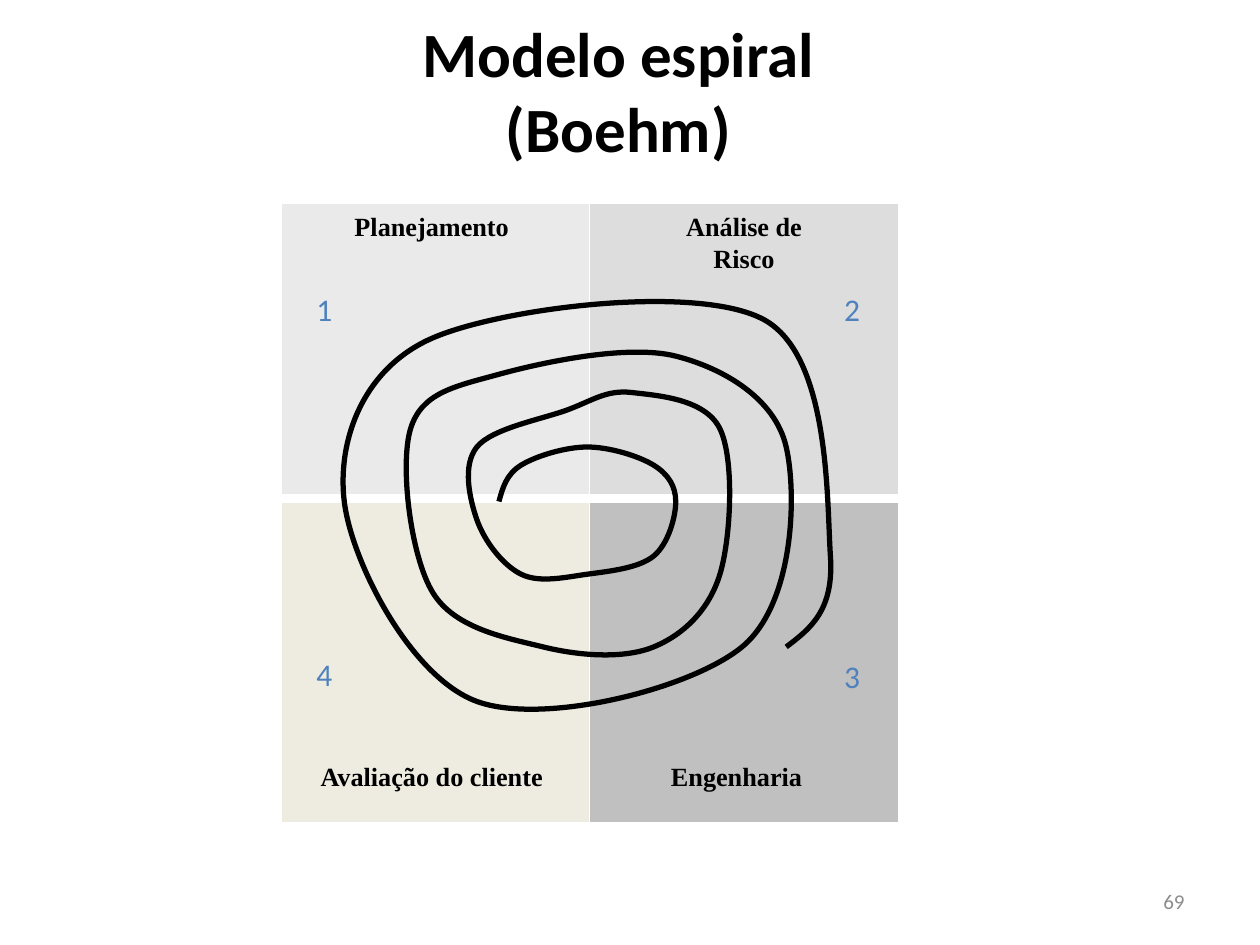
from pptx import Presentation
from pptx import util as u
from pptx.dml.color import RGBColor
from pptx.enum import shapes, text
from pptx.oxml import ns
from lxml import etree

COLORS = {
    "planning": "EAEAEA", "risk": "DDDDDD", "engineering": "C0C0C0", "client": "EEECE1",
    "gap": "FFFFFF", "ink": "000000", "number": "4F81BD", "footer": "8C8C8C",
}
ALIGN, ANCHOR = text.PP_ALIGN, text.MSO_ANCHOR

# Knots of the spiral in grid steps from its centre
SPIRAL = [
    (-4, 0), (-3, -2), (0, -3), (3, -2), (4, 0), (3, 3), (0, 4),
    (-3, 4), (-5, 1), (-5, -3), (-1, -5), (2, -6), (6, -4), (6, 4), (3, 8),
    (-2, 8), (-7, 5), (-8, -4), (-4, -7), (4, -8), (9, -3), (7, 8),
    (-5, 11), (-11, 0), (-7, -9), (8, -10), (11, 3), (9, 8),
]
SPIRAL_CENTER = (11.84, 10.11)
SPIRAL_STEP = (4.9 / 11, 4.03 / 11)


def midpoint(a, b):
    return (a[0] + b[0]) / 2, (a[1] + b[1]) / 2


def spline_points(knots):
    """Return the Bezier points (two controls, then a knot) of a smooth curve."""
    handles = [((c[0] - a[0]) / 6, (c[1] - a[1]) / 6) for a, c in zip(knots, knots[2:])]
    before = [(x - dx, y - dy) for (x, y), (dx, dy) in zip(knots[1:], handles)]
    after = [(x + dx, y + dy) for (x, y), (dx, dy) in zip(knots[1:], handles)]
    leaving = [midpoint(knots[0], before[0])] + after
    arriving = before + [midpoint(after[-1], knots[-1])]
    return [point for trio in zip(leaving, arriving, knots[1:]) for point in trio]


class SlideBuilder:
    def __init__(self, slide):
        self.slide = slide
        self.diagram = slide.shapes.add_group_shape()

    def color(self, name):
        return RGBColor.from_string(COLORS[name])

    def fill_text(self, frame, lines, size, font, color, align=ALIGN.CENTER, bold=False):
        for index, line in enumerate(lines):
            para = frame.add_paragraph() if index else frame.paragraphs[0]
            para.text = line
            para.alignment = align
            para.font.size, para.font.name, para.font.bold = u.Pt(size), font, bold
            para.font.color.rgb = self.color(color)

    def quadrant(self, left, top, height, fill, lines, anchor, nudge):
        """Add a filled quadrant; nudge widens the right margin of its caption."""
        box = self.diagram.shapes.add_shape(
            shapes.MSO_SHAPE.RECTANGLE, u.Cm(left), u.Cm(top), u.Cm(6.22), u.Cm(height))
        box.shadow.inherit = False
        box.fill.solid()
        box.fill.fore_color.rgb = self.color(fill)
        box.line.color.rgb = self.color("gap")
        box.line.width = u.Pt(0.75)
        frame = box.text_frame
        frame.word_wrap = True
        frame.vertical_anchor = anchor
        frame.margin_left, frame.margin_right = u.Cm(0.25), u.Cm(0.25 + nudge)
        frame.margin_top, frame.margin_bottom = u.Cm(0.13), u.Cm(0.62)
        self.fill_text(frame, lines, 15, "Times New Roman", "ink", bold=True)

    def curve(self, knots, width):
        points = [(u.Cm(x), u.Cm(y)) for x, y in spline_points(knots)]
        start_x, start_y = knots[0]
        builder = self.diagram.shapes.build_freeform(u.Cm(start_x), u.Cm(start_y))
        builder.add_line_segments(points, close=False)
        line = builder.convert_to_shape()
        line.shadow.inherit = False
        line.fill.background()
        line.line.color.rgb = self.color("ink")
        line.line.width = u.Pt(width)
        # Each three straight segments become one cubic curve
        outline = next(line._element.iter(ns.qn("a:path")))
        segments = outline.findall(ns.qn("a:lnTo"))
        for first in range(0, len(segments), 3):
            cubic = etree.SubElement(outline, ns.qn("a:cubicBezTo"))
            for segment in segments[first:first + 3]:
                cubic.append(segment[0])
                outline.remove(segment)

    def label(self, left, top, width, height, content, size, color,
              align=ALIGN.CENTER, bold=False, wrap=True, anchor=ANCHOR.MIDDLE):
        box = self.slide.shapes.add_textbox(
            u.Cm(left), u.Cm(top), u.Cm(width), u.Cm(height))
        box.text_frame.word_wrap = wrap
        box.text_frame.vertical_anchor = anchor
        self.fill_text(box.text_frame, [content], size, "Calibri", color, align, bold)


def main():
    deck = Presentation()
    deck.slide_width, deck.slide_height = u.Cm(25.4), u.Cm(19.05)
    page = SlideBuilder(deck.slides.add_slide(deck.slide_layouts[6]))

    left, right = 5.67, 11.89
    upper, lower = (4.11, 5.87), (10.13, 6.45)
    page.quadrant(left, *upper, "planning", ["Planejamento"], ANCHOR.TOP, 0.15)
    page.quadrant(right, *lower, "engineering", ["Engenharia"], ANCHOR.BOTTOM, 0.3)
    page.quadrant(right, *upper, "risk", ["Análise de", "Risco"], ANCHOR.TOP, 0)
    page.quadrant(left, *lower, "client", ["Avaliação do cliente"], ANCHOR.BOTTOM, 0.15)

    page.curve([(SPIRAL_CENTER[0] + column * SPIRAL_STEP[0],
                 SPIRAL_CENTER[1] + row * SPIRAL_STEP[1]) for column, row in SPIRAL], 3)

    for number, x, y in [("1", 6.12, 5.72), ("2", 16.76, 5.72),
                         ("4", 6.12, 13.08), ("3", 16.76, 13.13)]:
        page.label(x, y, 0.84, 1.02, number, 18, "number", wrap=False, anchor=ANCHOR.TOP)
    page.label(1.63, 0.33, 21.67, 2.97, "Modelo espiral\v(Boehm)", 36, "ink", bold=True)
    page.label(19.3, 17.65, 4.83, 1.02, "69", 12, "footer", align=ALIGN.RIGHT)

    deck.save("out.pptx")


if __name__ == "__main__":
    main()
